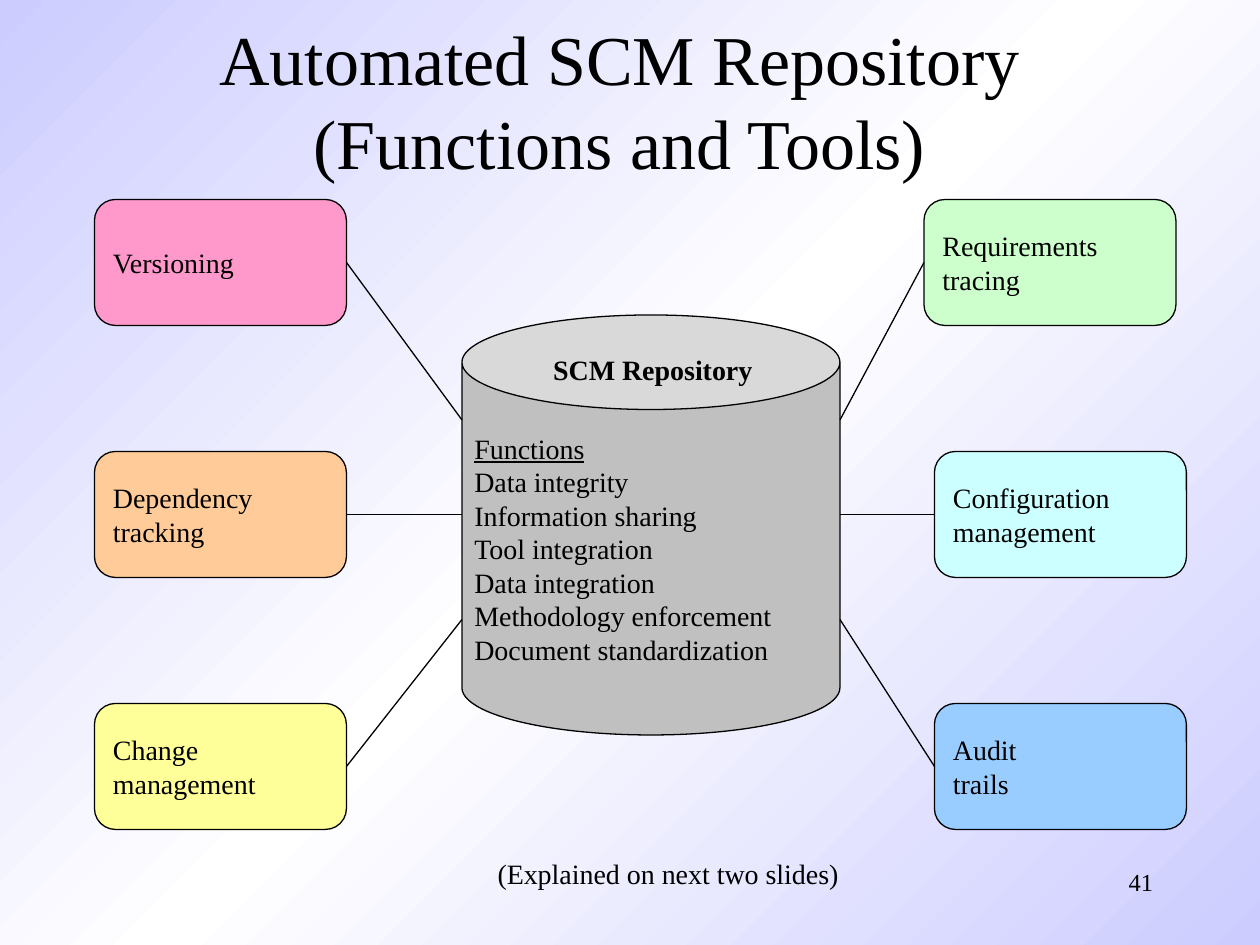
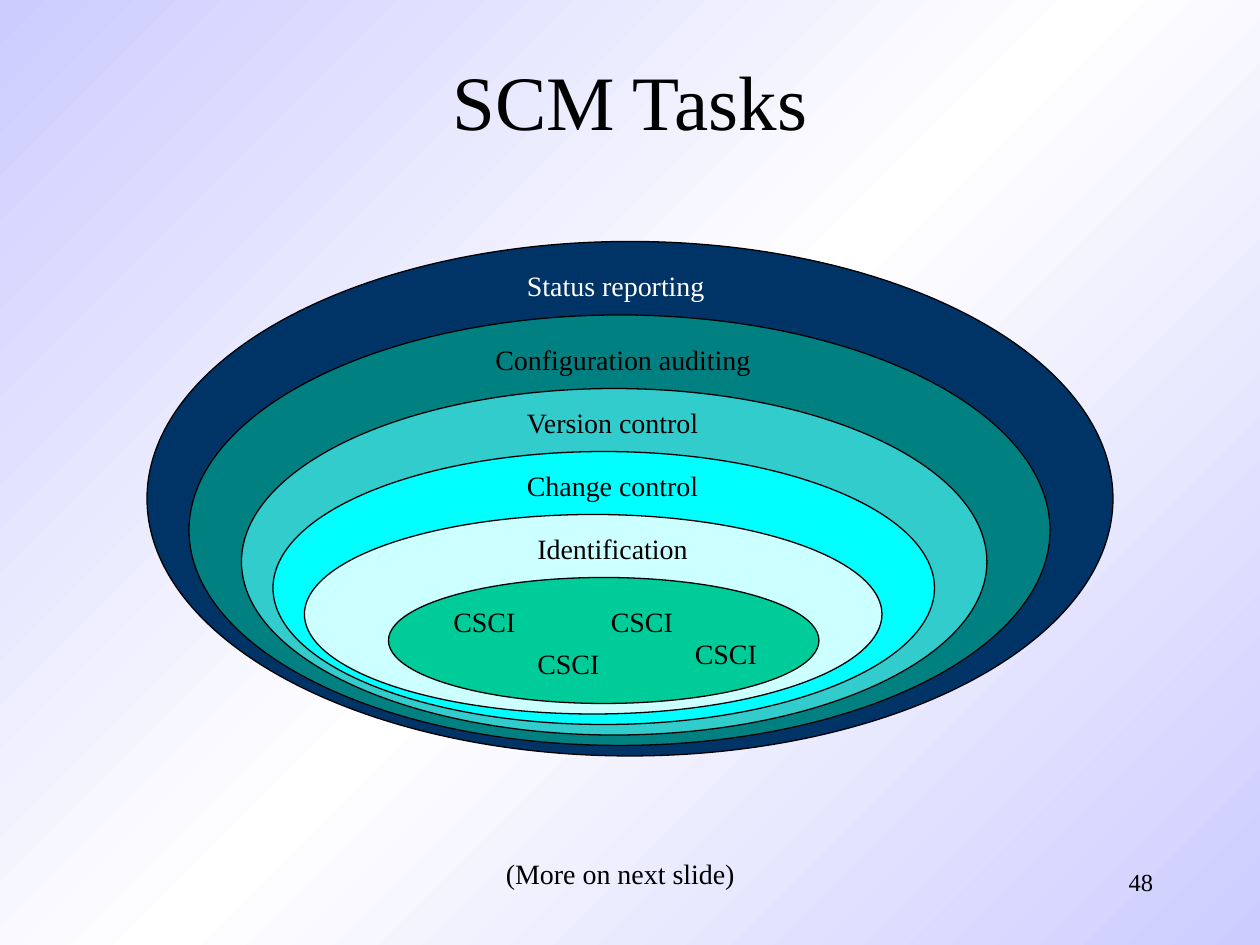
from copy import deepcopy
from typing import NamedTuple

from lxml.etree import SubElement
from pptx import Presentation
from pptx.dml.color import RGBColor
from pptx.enum.shapes import MSO_CONNECTOR, MSO_SHAPE
from pptx.enum.text import MSO_ANCHOR, MSO_AUTO_SIZE, PP_ALIGN
from pptx.oxml.ns import qn
from pptx.util import Pt

# Scale: 120 px to the inch
PX = 7620
FONT = "Times New Roman"
LINE_WIDTH = Pt(0.75)

# Colours
BLACK = RGBColor(0x00, 0x00, 0x00)
WHITE = RGBColor(0xFF, 0xFF, 0xFF)
LAVENDER = RGBColor(0xCC, 0xCC, 0xFF)
GREY = RGBColor(0xC0, 0xC0, 0xC0)
PINK = RGBColor(0xFF, 0x99, 0xCC)
ORANGE = RGBColor(0xFF, 0xCC, 0x99)
YELLOW = RGBColor(0xFF, 0xFF, 0x99)
PALE_GREEN = RGBColor(0xCC, 0xFF, 0xCC)
PALE_CYAN = RGBColor(0xCC, 0xFF, 0xFF)
SKY_BLUE = RGBColor(0x99, 0xCC, 0xFF)
NAVY = RGBColor(0x00, 0x33, 0x66)
TEAL = RGBColor(0x00, 0x80, 0x80)
TURQUOISE = RGBColor(0x33, 0xCC, 0xCC)
CYAN = RGBColor(0x00, 0xFF, 0xFF)
GREEN = RGBColor(0x00, 0xCC, 0x99)


class Box(NamedTuple):
    left: int
    top: int
    width: int
    height: int

    def emu(self) -> list[int]:
        return [length * PX for length in self]


class Tool(NamedTuple):
    text: str
    left: int
    row: int
    color: RGBColor


class Label(NamedTuple):
    text: str
    left: int
    top: int
    width: int
    color: RGBColor = BLACK
    bold: bool = False


class Layer(NamedTuple):
    box: Box
    color: RGBColor


# Automated SCM Repository
REPOSITORY = Box(440, 300, 360, 400)
REPOSITORY_FUNCTIONS = "\n".join([
    "Functions", "Data integrity", "Information sharing", "Tool integration",
    "Data integration", "Methodology enforcement", "Document standardization",
])
TOOL_WIDTH, TOOL_HEIGHT = 240, 120
TOOL_TOP, TOOL_PITCH = 190, 240
REPOSITORY_JOINTS = [400, 490, 590]
TOOLS = [
    Tool("Versioning", 90, 0, PINK),
    Tool("Dependency\ntracking", 90, 1, ORANGE),
    Tool("Change\nmanagement", 90, 2, YELLOW),
    Tool("Requirements\ntracing", 880, 0, PALE_GREEN),
    Tool("Configuration\nmanagement", 890, 1, PALE_CYAN),
    Tool("Audit\ntrails", 890, 2, SKY_BLUE),
]

# SCM Tasks, from the outer layer inwards
LAYERS = [
    Layer(Box(140, 230, 920, 490), NAVY),
    Layer(Box(180, 300, 820, 410), TEAL),
    Layer(Box(230, 370, 710, 330), TURQUOISE),
    Layer(Box(260, 430, 630, 260), CYAN),
    Layer(Box(290, 490, 550, 190), PALE_CYAN),
    Layer(Box(370, 550, 410, 120), GREEN),
]
TASK_LABELS = [
    Label("Status reporting", 490, 250, 196, WHITE),
    Label("Configuration auditing", 460, 320, 272),
    Label("Version control", 490, 380, 194),
    Label("Change control", 490, 440, 192),
    Label("Identification", 500, 500, 172),
]
ITEM_POSITIONS = [(420, 570), (500, 610), (570, 570), (650, 600)]


def write_text(frame, text: str, *, size: int = 16, color: RGBColor = BLACK,
               bold: bool = False, align=PP_ALIGN.LEFT, anchor=MSO_ANCHOR.TOP,
               wrap: bool = False, underline_first: bool = False) -> None:
    """Fill a text frame; \\n starts a paragraph and \\v breaks a line."""
    frame.text = text
    frame.word_wrap = wrap
    frame.vertical_anchor = anchor
    for index, paragraph in enumerate(frame.paragraphs):
        paragraph.alignment = align
        for run in paragraph.runs:
            run.font.name = FONT
            run.font.size = Pt(size)
            run.font.bold = bold
            run.font.color.rgb = color
            if underline_first and index == 0:
                run.font.underline = True


def add_filled(shapes, kind, box: Box, color: RGBColor):
    shape = shapes.add_shape(kind, *box.emu())
    shape.shadow.inherit = False
    shape.fill.solid()
    shape.fill.fore_color.rgb = color
    shape.line.color.rgb = BLACK
    shape.line.width = LINE_WIDTH
    return shape


def add_label(shapes, label: Label) -> None:
    """Add a one-line label; its box keeps the given size."""
    box = Box(label.left, label.top, label.width, 44)
    frame = shapes.add_textbox(*box.emu()).text_frame
    write_text(frame, label.text, color=label.color, bold=label.bold)
    frame.auto_size = MSO_AUTO_SIZE.NONE


def add_line(shapes, start: tuple[int, int], end: tuple[int, int]) -> None:
    ends = [length * PX for length in (*start, *end)]
    line = shapes.add_connector(MSO_CONNECTOR.STRAIGHT, *ends)
    line.line.color.rgb = BLACK
    line.line.width = LINE_WIDTH
    SubElement(line.element.spPr, qn("a:effectLst"))


def add_tool(shapes, tool: Tool) -> None:
    """Draw a tool box and the line that joins it to the repository."""
    box = Box(tool.left, TOOL_TOP + tool.row * TOOL_PITCH, TOOL_WIDTH, TOOL_HEIGHT)
    shape = add_filled(shapes, MSO_SHAPE.ROUNDED_RECTANGLE, box, tool.color)
    write_text(shape.text_frame, tool.text, anchor=MSO_ANCHOR.MIDDLE)
    if tool.left < REPOSITORY.left:
        tool_edge, repository_edge = box.left + box.width, REPOSITORY.left
    else:
        tool_edge, repository_edge = box.left, REPOSITORY.left + REPOSITORY.width
    add_line(shapes, (tool_edge, box.top + box.height // 2),
             (repository_edge, REPOSITORY_JOINTS[tool.row]))


def paint_background(master) -> None:
    fill = master.background.fill
    fill.gradient()
    fill.gradient_angle = 315
    # A third stop needs one more element in the stop list
    stop_list = master.element.find(".//" + qn("a:gsLst"))
    stop_list.insert(1, deepcopy(stop_list[0]))
    stops = zip(fill.gradient_stops, [0, 0.5, 1], [LAVENDER, WHITE, LAVENDER])
    for stop, position, color in stops:
        stop.position = position
        stop.color.rgb = color


def add_slide(presentation, title: str, number: int, note: Label,
              title_left: int, title_size: int):
    """Add a slide with its title, page number and closing note."""
    slide = presentation.slides.add_slide(presentation.slide_layouts[5])
    heading = slide.shapes.title
    heading.left, heading.top, heading.width, heading.height = Box(
        title_left, 20, 1020, 150).emu()
    write_text(heading.text_frame, title, size=title_size, wrap=True,
               align=PP_ALIGN.CENTER, anchor=MSO_ANCHOR.MIDDLE)
    heading.text_frame.auto_size = MSO_AUTO_SIZE.NONE
    page = slide.shapes.add_textbox(*Box(860, 820, 250, 60).emu())
    write_text(page.text_frame, str(number), size=14, align=PP_ALIGN.RIGHT, wrap=True)
    add_label(slide.shapes, note)
    return slide


def build_repository_slide(presentation) -> None:
    slide = add_slide(
        presentation, "Automated SCM Repository\v(Functions and Tools)", 41,
        Label("(Explained on next two slides)", 462, 810, 354),
        title_left=80, title_size=40)
    can = add_filled(slide.shapes, MSO_SHAPE.CAN, REPOSITORY, GREY)
    write_text(can.text_frame, REPOSITORY_FUNCTIONS,
               anchor=MSO_ANCHOR.MIDDLE, underline_first=True)
    for tool in TOOLS:
        add_tool(slide.shapes, tool)
    add_label(slide.shapes, Label("SCM Repository", 515, 330, 218, bold=True))


def build_tasks_slide(presentation) -> None:
    slide = add_slide(
        presentation, "SCM Tasks", 48,
        Label("(More on next slide)", 470, 810, 246),
        title_left=90, title_size=44)
    diagram = slide.shapes.add_group_shape().shapes
    for layer in LAYERS:
        add_filled(diagram, MSO_SHAPE.OVAL, layer.box, layer.color)
    for label in TASK_LABELS:
        add_label(diagram, label)
    for left, top in ITEM_POSITIONS:
        add_label(diagram, Label("CSCI", left, top, 86))


def main() -> None:
    presentation = Presentation()
    presentation.slide_width, presentation.slide_height = 1200 * PX, 900 * PX
    paint_background(presentation.slide_master)
    build_repository_slide(presentation)
    build_tasks_slide(presentation)
    presentation.save("out.pptx")


if __name__ == "__main__":
    main()
